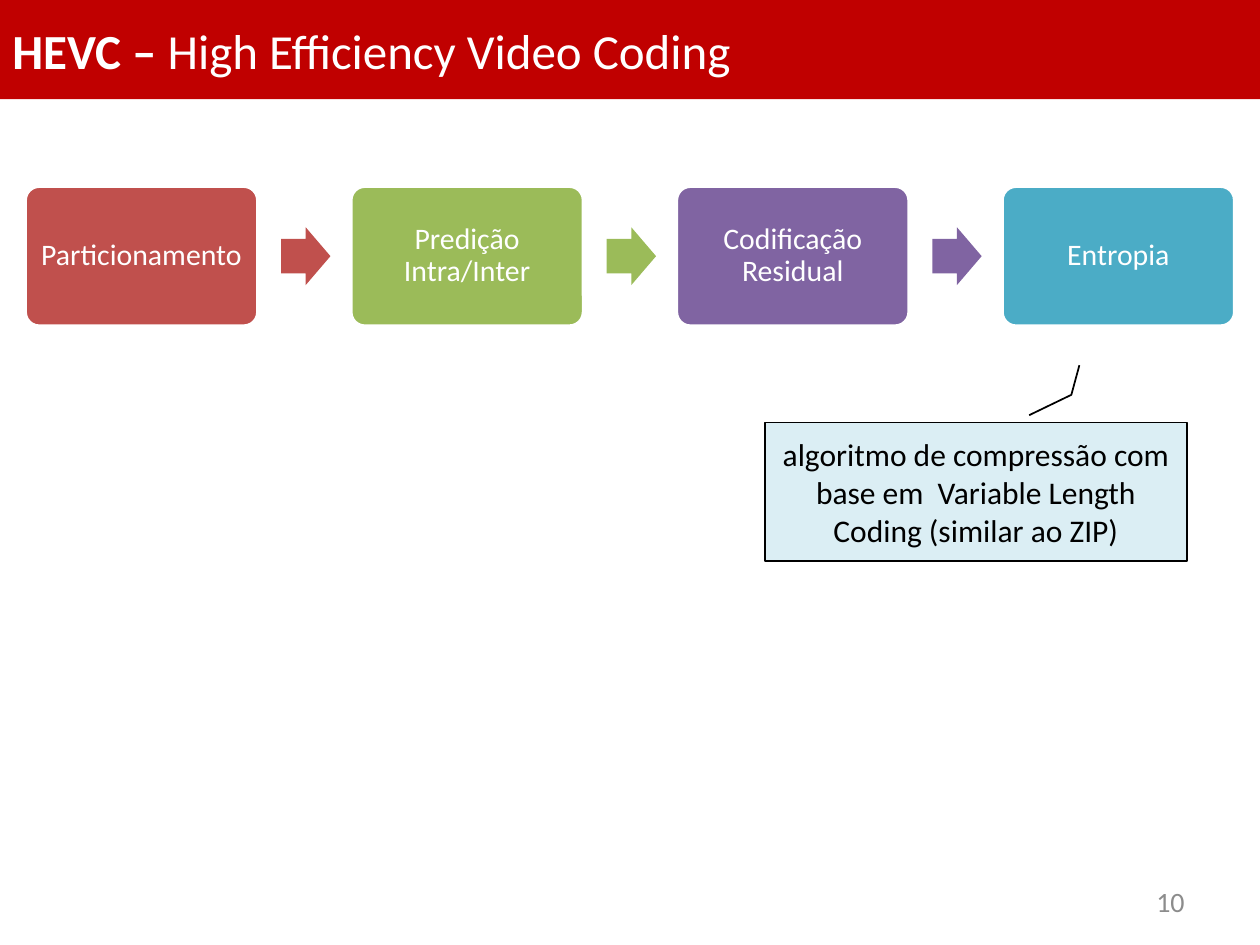
from pptx import Presentation
from pptx.dml.color import RGBColor
from pptx.enum.shapes import MSO_SHAPE
from pptx.enum.text import MSO_ANCHOR, PP_ALIGN
from pptx.util import Pt

RECTANGLE, ROUNDED = MSO_SHAPE.RECTANGLE, MSO_SHAPE.ROUNDED_RECTANGLE
ARROW, CALLOUT = MSO_SHAPE.RIGHT_ARROW, MSO_SHAPE.LINE_CALLOUT_2
LEFT, CENTER, RIGHT = PP_ALIGN.LEFT, PP_ALIGN.CENTER, PP_ALIGN.RIGHT
MIDDLE = MSO_ANCHOR.MIDDLE

# Content
COLORS = {
    "banner": "C00000", "white": "FFFFFF", "black": "000000", "gray": "8C8C8C",
    "red": "C0504D", "green": "9BBB59", "purple": "8064A2", "teal": "4BACC6",
    "note": "DBEEF4",
}
TITLE = [("HEVC – ", True), ("High Efficiency Video Coding", False)]
STAGES = [
    ("Particionamento", "red"),
    ("Predição Intra/Inter", "green"),
    ("Codificação Residual", "purple"),
    ("Entropia", "teal"),
]
NOTE = "algoritmo de compressão com base em  Variable Length Coding (similar ao ZIP)"
NOTE_POINTER = [-0.052, 0.626, -0.199, 0.726, -0.413, 0.745]
PAGE_NUMBER = "10"

# Layout in points
SLIDE_WIDTH, SLIDE_HEIGHT = 720, 540
STAGE_WIDTH, STAGE_HEIGHT, STAGE_TOP, MARGIN = 133, 80, 106.4, 14.4
STAGE_INSET, DEFAULT_INSET = 4, 7.2
ARROW_WIDTH, ARROW_HEIGHT, ARROW_GAP = 28.2, 33, 13.2
PITCH = (SLIDE_WIDTH - 2 * MARGIN - STAGE_WIDTH) / (len(STAGES) - 1)


def color(name):
    return RGBColor.from_string(COLORS[name])


def add_box(slide, kind, box, fill, line=None, line_width=1, adjustments=()):
    shape = slide.shapes.add_shape(kind, *map(Pt, box))
    shape.shadow.inherit = False
    shape.fill.solid()
    shape.fill.fore_color.rgb = color(fill)
    if line:
        shape.line.color.rgb = color(line)
        shape.line.width = Pt(line_width)
    else:
        shape.line.fill.background()
    for index, value in enumerate(adjustments):
        shape.adjustments[index] = value
    return shape


def write(shape, runs, size, text_color, align, spacing=None, inset=DEFAULT_INSET):
    frame = shape.text_frame
    frame.word_wrap = True
    frame.vertical_anchor = MIDDLE
    frame.margin_left = frame.margin_right = Pt(inset)
    paragraph = frame.paragraphs[0]
    paragraph.alignment = align
    if spacing:
        paragraph.line_spacing = spacing
    for text, bold in runs:
        run = paragraph.add_run()
        run.text = text
        run.font.name = "Calibri"
        run.font.size = Pt(size)
        run.font.bold = bold
        run.font.color.rgb = color(text_color)


def main():
    presentation = Presentation()
    presentation.slide_width, presentation.slide_height = Pt(SLIDE_WIDTH), Pt(SLIDE_HEIGHT)
    slide = presentation.slides.add_slide(presentation.slide_layouts[6])

    # Title banner
    banner = add_box(slide, RECTANGLE, (0, 0, SLIDE_WIDTH, 56.7), "banner")
    write(banner, TITLE, 28, "white", LEFT)

    # Coding stages, with an arrow to each following stage
    for index, (label, fill) in enumerate(STAGES):
        left = MARGIN + index * PITCH
        stage = add_box(slide, ROUNDED, (left, STAGE_TOP, STAGE_WIDTH, STAGE_HEIGHT),
                        fill, "white", 2, [0.1])
        write(stage, [(label, False)], 17, "white", CENTER, 0.9, STAGE_INSET)
        if index < len(STAGES) - 1:
            arrow_top = STAGE_TOP + (STAGE_HEIGHT - ARROW_HEIGHT) / 2
            arrow_box = (left + STAGE_WIDTH + ARROW_GAP, arrow_top, ARROW_WIDTH, ARROW_HEIGHT)
            add_box(slide, ARROW, arrow_box, fill, adjustments=[0.6, 0.5])

    # Page number
    number = slide.shapes.add_textbox(Pt(516), Pt(500.5), Pt(168), Pt(28.75))
    write(number, [(PAGE_NUMBER, False)], 16, "gray", RIGHT)

    # Note on the entropy stage
    note = add_box(slide, CALLOUT, (437, 241.4, 241.4, 79.2), "note", "black", 1, NOTE_POINTER)
    write(note, [(NOTE, False)], 18, "black", CENTER)

    presentation.save("out.pptx")


if __name__ == "__main__":
    main()
